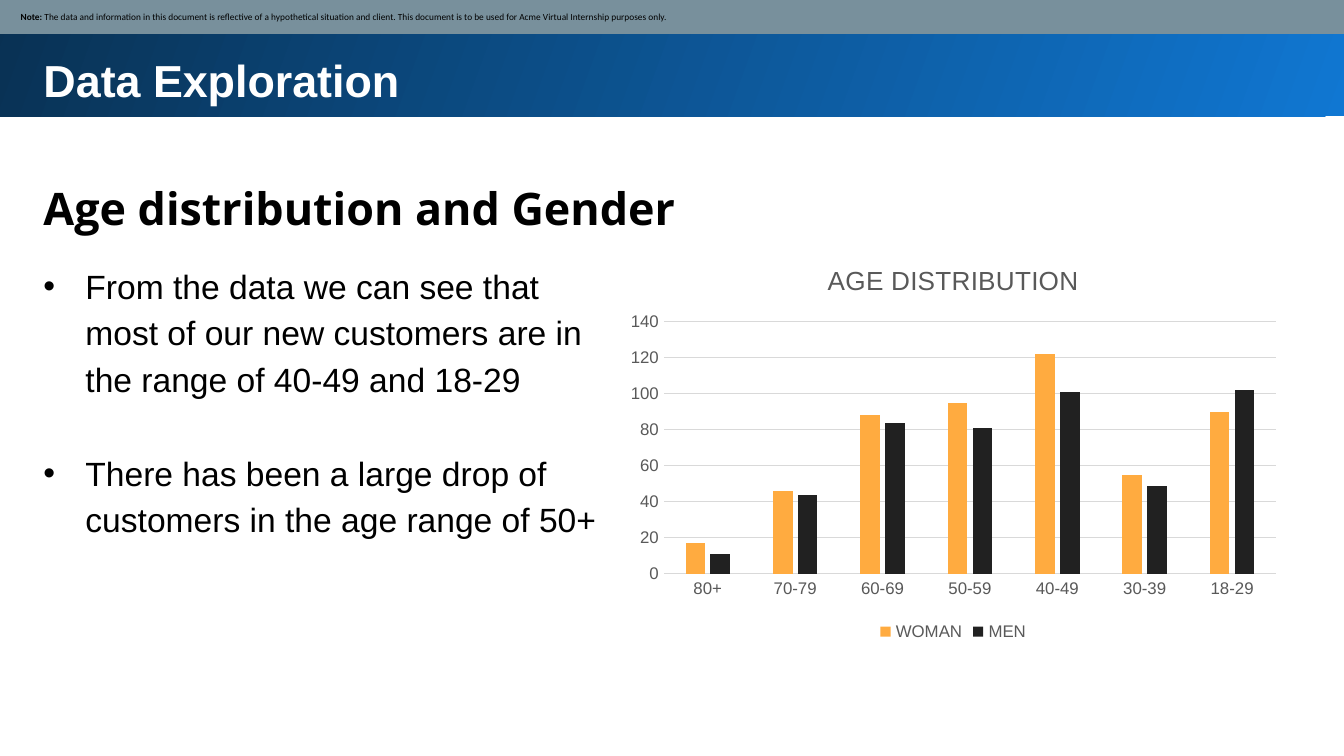
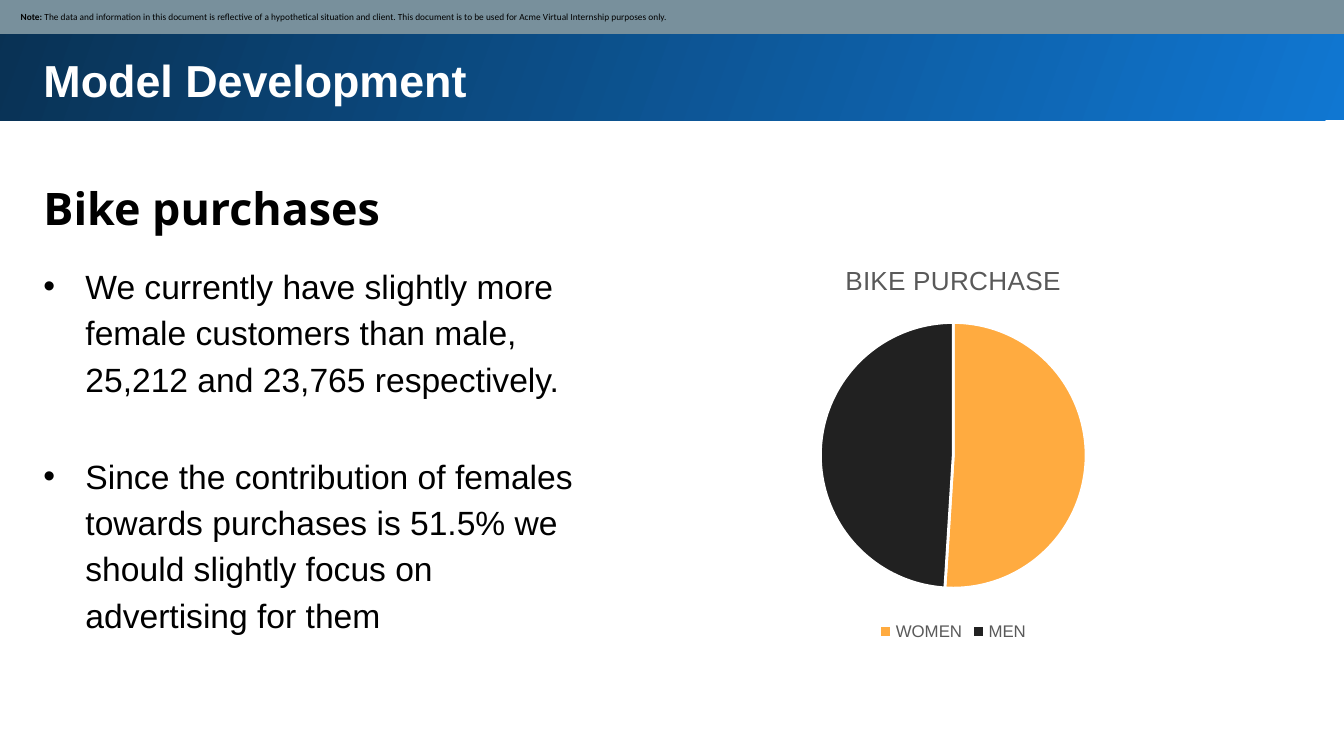
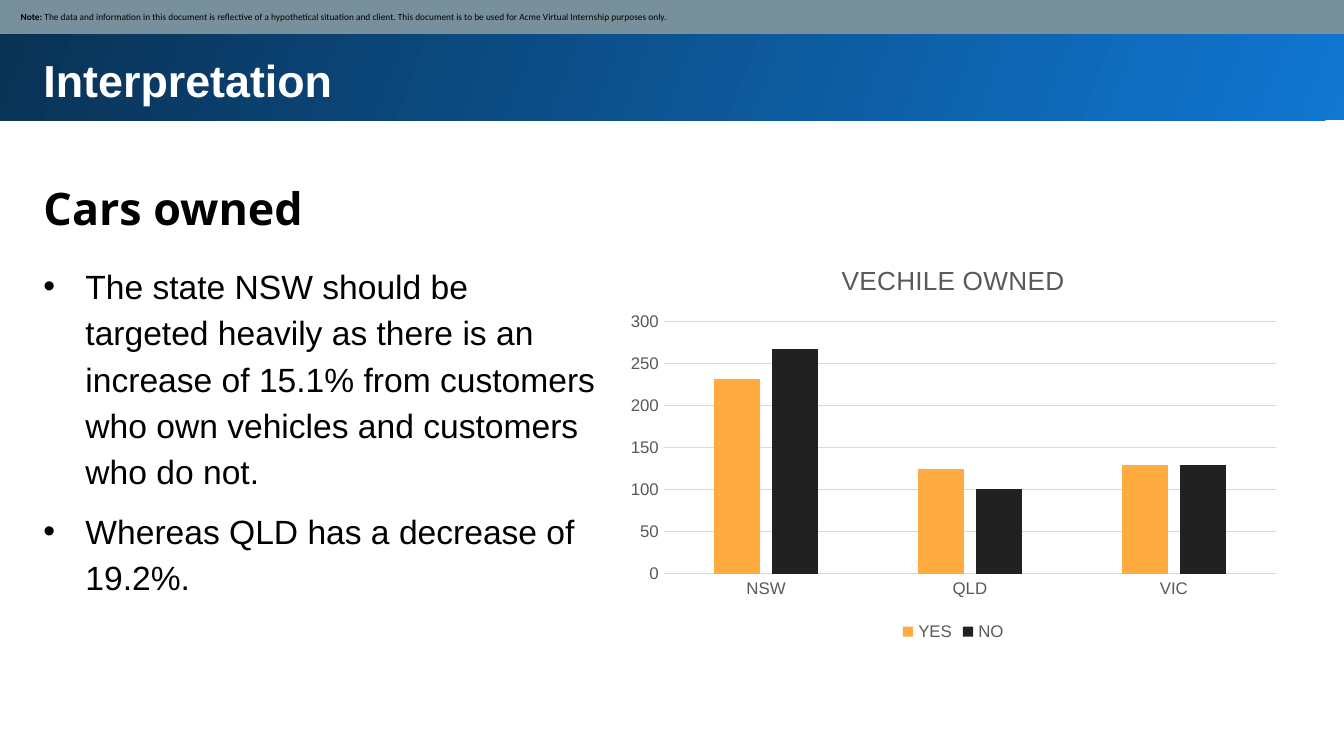
"""Build three data-insight slides with a shared banner, note strip, bullets and chart."""
from lxml.etree import SubElement
from pptx import Presentation
from pptx.chart.data import CategoryChartData
from pptx.dml.color import RGBColor
from pptx.enum.chart import XL_CHART_TYPE as ChartType
from pptx.enum.chart import XL_LEGEND_POSITION as LegendPosition
from pptx.enum.chart import XL_TICK_MARK as TickMark
from pptx.enum.shapes import MSO_SHAPE as Shape
from pptx.enum.text import MSO_ANCHOR as Anchor
from pptx.enum.text import MSO_AUTO_SIZE as AutoSize
from pptx.enum.text import PP_ALIGN as Align
from pptx.oxml.ns import qn
from pptx.util import Pt

BLACK = RGBColor(0x00, 0x00, 0x00)
WHITE = RGBColor(0xFF, 0xFF, 0xFF)
BRIGHT_BLUE = RGBColor(0x10, 0x77, 0xD2)
DARK_BLUE = RGBColor(0x09, 0x31, 0x53)
SLATE = RGBColor(0x78, 0x90, 0x9C)
GREY = RGBColor(0x59, 0x59, 0x59)
LIGHT_GREY = RGBColor(0xD9, 0xD9, 0xD9)
ORANGE = RGBColor(0xFF, 0xAB, 0x40)
CHARCOAL = RGBColor(0x21, 0x21, 0x21)
SERIES_COLOURS = (ORANGE, CHARCOAL)

BODY_FONT = "Arial"
HEADING_FONT = "Open Sans"
NOTE_FONT = "Calibri"
MARGIN_LEFT = 16.2
FULL_WIDTH = 675
BULLET_TOP = 132
BULLET_WIDTH = 312.5
BULLET_INDENT = 22.5
INSET = 7.2
LINE_SPACING = 1.15
NOTE = (
    "The data and information in this document is reflective of a hypothetical situation "
    "and client. This document is to be used for Acme Virtual Internship purposes only."
)


def style_font(font, size, colour, name=BODY_FONT, bold=False):
    font.name = name
    font.size = Pt(size)
    font.bold = bold
    font.color.rgb = colour


def add_bar(slide, left, top, width, height):
    bar = slide.shapes.add_shape(Shape.RECTANGLE, Pt(left), Pt(top), Pt(width), Pt(height))
    bar.shadow.inherit = False
    bar.line.fill.background()
    return bar


def add_banner(slide, top):
    banner = add_bar(slide, -1.5, top, 723.5, 66.3)
    banner.fill.gradient()
    banner.fill.gradient_angle = 160
    for stop, colour in zip(banner.fill.gradient_stops, (BRIGHT_BLUE, DARK_BLUE)):
        stop.color.rgb = colour


def add_note(slide):
    strip = add_bar(slide, -0.75, -0.75, 722, 19)
    strip.fill.solid()
    strip.fill.fore_color.rgb = SLATE
    frame = strip.text_frame
    frame.vertical_anchor = Anchor.MIDDLE
    frame.margin_left = Pt(11.8)
    frame.margin_top = frame.margin_right = frame.margin_bottom = Pt(3.6)
    paragraph = frame.paragraphs[0]
    paragraph.alignment = Align.LEFT
    for text, bold in (("Note: ", True), (NOTE, False)):
        run = paragraph.add_run()
        run.text = text
        style_font(run.font, 5, BLACK, NOTE_FONT, bold)


def add_text(slide, text, top, width, height, size, colour, name=BODY_FONT, bold=False):
    box = slide.shapes.add_textbox(Pt(MARGIN_LEFT), Pt(top), Pt(width), Pt(height))
    frame = box.text_frame
    frame.word_wrap = True
    frame.auto_size = AutoSize.SHAPE_TO_FIT_TEXT
    frame.margin_left = frame.margin_top = Pt(INSET)
    frame.margin_right = frame.margin_bottom = Pt(INSET)
    frame.text = text
    paragraph = frame.paragraphs[0]
    style_font(paragraph.runs[0].font, size, colour, name, bold)
    return paragraph


def add_title(slide, text):
    add_text(slide, text, 21, FULL_WIDTH, 44, 24, WHITE, bold=True)


def add_heading(slide, text):
    paragraph = add_text(slide, text, 85.3, FULL_WIDTH, 45, 24, BLACK, HEADING_FONT, True)
    paragraph.line_spacing = LINE_SPACING


def add_bullet(slide, text, top, height):
    paragraph = add_text(slide, text, top, BULLET_WIDTH, height, 18, BLACK)
    paragraph.line_spacing = LINE_SPACING
    properties = paragraph._p.get_or_add_pPr()
    properties.set("marL", str(Pt(BULLET_INDENT)))
    properties.set("indent", str(-Pt(BULLET_INDENT)))
    SubElement(properties, qn("a:buFont")).set("typeface", BODY_FONT)
    SubElement(properties, qn("a:buChar")).set("char", "•")


def add_chart(slide, chart_type, title, categories, series):
    data = CategoryChartData()
    data.categories = categories
    for name, values in series.items():
        data.add_series(name, values)
    frame = slide.shapes.add_chart(chart_type, Pt(330.7), Pt(130.5), Pt(360), Pt(216), data)
    chart = frame.chart
    style_font(chart.font, 10, BLACK)
    chart.has_title = True
    chart.chart_title.include_in_layout = False
    chart.chart_title.text_frame.text = title
    style_font(chart.chart_title.text_frame.paragraphs[0].runs[0].font, 14, GREY)
    chart.has_legend = True
    chart.legend.position = LegendPosition.BOTTOM
    chart.legend.include_in_layout = False
    style_font(chart.legend.font, 9, GREY)
    return chart


def style_grey_line(line):
    line.color.rgb = LIGHT_GREY
    line.width = Pt(0.75)


def add_column_chart(slide, title, categories, series):
    chart = add_chart(slide, ChartType.COLUMN_CLUSTERED, title, categories, series)
    for axis in (chart.category_axis, chart.value_axis):
        axis.major_tick_mark = axis.minor_tick_mark = TickMark.NONE
        style_font(axis.tick_labels.font, 9, GREY)
    style_grey_line(chart.category_axis.format.line)
    chart.value_axis.format.line.fill.background()
    style_grey_line(chart.value_axis.major_gridlines.format.line)
    plot = chart.plots[0]
    plot.vary_by_categories = False
    plot.gap_width = 219
    plot.overlap = -27
    for column, colour in zip(plot.series, SERIES_COLOURS):
        column.format.fill.solid()
        column.format.fill.fore_color.rgb = colour


def add_pie_chart(slide, title, categories, values):
    chart = add_chart(slide, ChartType.PIE, title, categories, {title: values})
    plot = chart.plots[0]
    plot.vary_by_categories = True
    for index, colour in enumerate(SERIES_COLOURS):
        wedge = plot.series[0].points[index].format
        wedge.fill.solid()
        wedge.fill.fore_color.rgb = colour
        wedge.line.color.rgb = WHITE
        wedge.line.width = Pt(1.5)


def add_insight_slide(presentation, title, heading, bullets, banner_top=-1.75):
    slide = presentation.slides.add_slide(presentation.slide_layouts[6])
    add_banner(slide, banner_top)
    add_title(slide, title)
    add_heading(slide, heading)
    add_note(slide)
    for text, top, height in bullets:
        add_bullet(slide, text, top, height)
    return slide


def main():
    presentation = Presentation()
    presentation.slide_width = Pt(720)
    presentation.slide_height = Pt(405)

    exploration = add_insight_slide(
        presentation, "Data Exploration", "Age distribution and Gender",
        [("From the data we can see that most of our new customers are in the range of "
          "40-49 and 18-29", BULLET_TOP, 88),
         ("There has been a large drop of customers in the age range of 50+", 232, 63)],
        banner_top=-4)
    add_column_chart(
        exploration, "AGE DISTRIBUTION",
        ["80+", "70-79", "60-69", "50-59", "40-49", "30-39", "18-29"],
        {"WOMAN": (17, 46, 88, 95, 122, 55, 90), "MEN": (11, 44, 84, 81, 101, 49, 102)})

    development = add_insight_slide(
        presentation, "Model Development", "Bike purchases",
        [("We currently have slightly more female customers than male, 25,212 and 23,765 "
          "respectively.", BULLET_TOP, 88),
         ("Since the contribution of females towards purchases is 51.5% we should slightly "
          "focus on advertising for them", 233.7, 113)])
    add_pie_chart(development, "BIKE PURCHASE", ["WOMEN", "MEN"], (51, 49))

    interpretation = add_insight_slide(
        presentation, "Interpretation", "Cars owned",
        [("The state NSW should be targeted heavily as there is an increase of 15.1% from "
          "customers who own vehicles and customers who do not.", BULLET_TOP, 137.5),
         ("Whereas QLD has a decrease of 19.2%.", 263.2, 63)])
    add_column_chart(
        interpretation, "VECHILE OWNED", ["NSW", "QLD", "VIC"],
        {"YES": (232, 125, 129), "NO": (267, 101, 129)})

    presentation.save("out.pptx")


if __name__ == "__main__":
    main()
